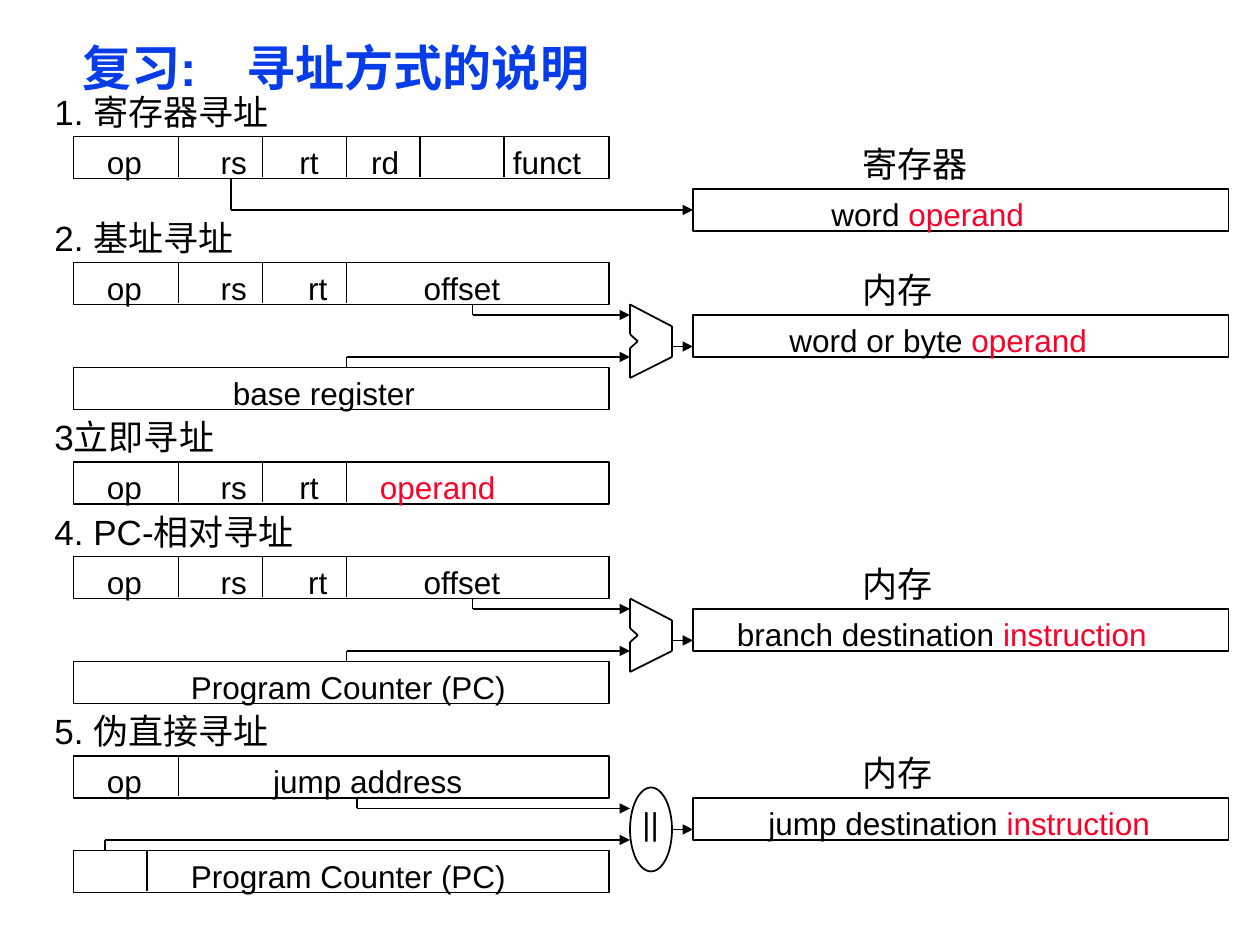
from itertools import pairwise
from lxml.etree import SubElement
from pptx import Presentation
from pptx.dml.color import RGBColor
from pptx.enum.shapes import MSO_CONNECTOR, MSO_SHAPE
from pptx.enum.text import MSO_ANCHOR, MSO_AUTO_SIZE, PP_ALIGN
from pptx.oxml.ns import qn
from pptx.util import Pt

COLORS = {"ink": "000000", "key": "FC0128", "title": "063DE8"}
BAR_W, BAR_H, CUT_H = 306, 24, 23
LEFT, UNIT_X, DEST_X = 42, 360, 396


def color(name):
    return RGBColor.from_string(COLORS[name])


def style(shape):
    shape.shadow.inherit = False
    shape.fill.background()
    shape.line.color.rgb = color("ink")
    shape.line.width = Pt(1)
    return shape


def add_tabs(para, stops):
    if stops:
        tabs = SubElement(para._p.get_or_add_pPr(), qn("a:tabLst"))
        for stop in stops:
            SubElement(tabs, qn("a:tab"), pos=str(Pt(stop)), algn="l")


def add_text(shapes, x, y, w, parts, size=18, wrap=False, tabs=()):
    box = shapes.add_textbox(Pt(x), Pt(y), Pt(w), Pt(31 if size == 20 else 29))
    frame = box.text_frame
    frame.word_wrap = wrap
    frame.auto_size = MSO_AUTO_SIZE.SHAPE_TO_FIT_TEXT
    para = frame.paragraphs[0]
    add_tabs(para, tabs)
    for text, tone in parts:
        run = para.add_run()
        run.text = text
        run.font.name = "Arial"
        run.font.size = Pt(size)
        run.font.color.rgb = color(tone)


def add_line(shapes, x1, y1, x2, y2, arrow=False):
    line = shapes.add_connector(MSO_CONNECTOR.STRAIGHT, Pt(x1), Pt(y1), Pt(x2), Pt(y2))
    line.line.color.rgb = color("ink")
    line.line.width = Pt(1)
    SubElement(line._element.spPr, qn("a:effectLst"))
    if arrow:
        SubElement(line.line._get_or_add_ln(), qn("a:tailEnd"), type="triangle")
    return line


def add_bar(shapes, x, y, cuts=()):
    bar = style(shapes.add_shape(MSO_SHAPE.RECTANGLE, Pt(x), Pt(y), Pt(BAR_W), Pt(BAR_H)))
    for cut in cuts:
        add_line(shapes, x + cut, y, x + cut, y + CUT_H)
    return bar


def add_code(shapes, y, head, cuts, parts, width, tabs, head_w=276):
    add_text(shapes, LEFT - 18, y - 30, head_w, [(head, "ink")], 20, True)
    add_bar(shapes, LEFT, y, cuts)
    add_text(shapes, LEFT + 12, y, width, parts, tabs=tabs)


def add_dest(shapes, y, head, plain, key, indent, width):
    bar = add_bar(shapes, DEST_X, y)
    add_text(shapes, DEST_X + 90, y - 30, 114, [(head, "ink")], 20, True)
    add_text(shapes, DEST_X + indent, y, width, [(plain, "ink"), (key, "key")])
    return bar


def add_source(shapes, y, name, indent, width, cuts=()):
    add_bar(shapes, LEFT, y, cuts)
    add_text(shapes, LEFT + indent, y, width, [(name, "ink")])


def add_wires(shapes, y, field_x, base_x, low):
    add_line(shapes, field_x, y, field_x, y + 6)
    add_line(shapes, field_x, y + 6, UNIT_X, y + 6, True)
    add_line(shapes, base_x, low - 6, UNIT_X, low - 6, True)
    add_line(shapes, base_x, low - 6, base_x, low)


def add_adder(shapes, x, y):
    edge = [(0, 0), (24, 12.5), (24, 30), (0, 42), (0, 25), (4.5, 21), (0, 17), (0, 0)]
    for (x1, y1), (x2, y2) in pairwise(edge):
        add_line(shapes, x + x1, y + y1, x + x2, y + y2)
    add_line(shapes, x + 24, y + 24, DEST_X, y + 24, True)


def add_joiner(shapes, x, y):
    style(shapes.add_shape(MSO_SHAPE.OVAL, Pt(x), Pt(y), Pt(24), Pt(48)))
    add_text(shapes, x, y + 6, 24, [("||", "ink")], wrap=True)
    add_line(shapes, x + 24, y + 24, DEST_X, y + 24, True)


def add_direct(shapes, y):
    add_code(shapes, y, "1. 寄存器寻址", (60, 108, 156, 198, 246),
             [("op\trs\trt\trd\tfunct", "ink")], 288, (65, 110, 151, 232))
    dest = add_dest(shapes, y + 30, "寄存器", "word ", "operand", 72, 127)
    add_line(shapes, 132, y + BAR_H, 132, y + 42)
    add_line(shapes, 132, y + 42, DEST_X, y + 42, True).end_connect(dest, 1)


def add_offset(shapes, y, head, head_w, source, dest):
    add_code(shapes, y, head, (60, 108, 156), [("op\trs\trt\toffset", "ink")],
             242, (65, 115, 181), head_w)
    add_source(shapes, y + 60, *source)
    add_adder(shapes, UNIT_X, y + BAR_H)
    add_wires(shapes, y + BAR_H, 270, 198, y + 60)
    add_dest(shapes, y + 30, "内存", *dest)


def add_instant(shapes, y):
    add_code(shapes, y, "3立即寻址", (60, 108, 156),
             [("op\trs\trt\t", "ink"), ("operand", "key")], 239, (65, 110, 156))


def add_jump(shapes, y):
    add_code(shapes, y, "5. 伪直接寻址", (60,), [("op\tjump address", "ink")], 220, (95,))
    add_source(shapes, y + 54, "Program Counter (PC)", 60, 197, (42,))
    add_wires(shapes, y + BAR_H, 204, 60, y + 54)
    add_joiner(shapes, UNIT_X, y + 18)
    add_dest(shapes, y + 24, "内存", "jump destination ", "instruction", 36, 235)


def add_title(title, x, y, w, h):
    title.left, title.top, title.width, title.height = Pt(x), Pt(y), Pt(w), Pt(h)
    frame = title.text_frame
    frame.margin_left = frame.margin_right = Pt(5)
    frame.margin_top = frame.margin_bottom = Pt(2)
    frame.vertical_anchor = MSO_ANCHOR.MIDDLE
    para = frame.paragraphs[0]
    para.text = "复习:\t寻址方式的说明"
    add_tabs(para, (94,))
    para.alignment = PP_ALIGN.LEFT
    para.line_spacing = 0.87
    font = para.runs[0].font
    font.name, font.size, font.bold = "Arial", Pt(28), True
    font.color.rgb = color("title")


def main():
    deck = Presentation()
    deck.slide_width, deck.slide_height = Pt(720), Pt(540)
    slide = deck.slides.add_slide(deck.slide_layouts[5])
    add_title(slide.shapes.title, 42, 24, 642, 33)

    def group():
        return slide.shapes.add_group_shape().shapes

    add_direct(group(), 78)
    add_offset(group(), 150, "2. 基址寻址", 354, ("base register", 84, 121),
               ("word or byte ", "operand", 48, 187))
    add_instant(group(), 264)
    add_offset(group(), 318, "4. PC-相对寻址", 276, ("Program Counter (PC)", 60, 197),
               ("branch destination ", "instruction", 18, 251))
    add_jump(group(), 432)
    deck.save("out.pptx")


if __name__ == "__main__":
    main()
